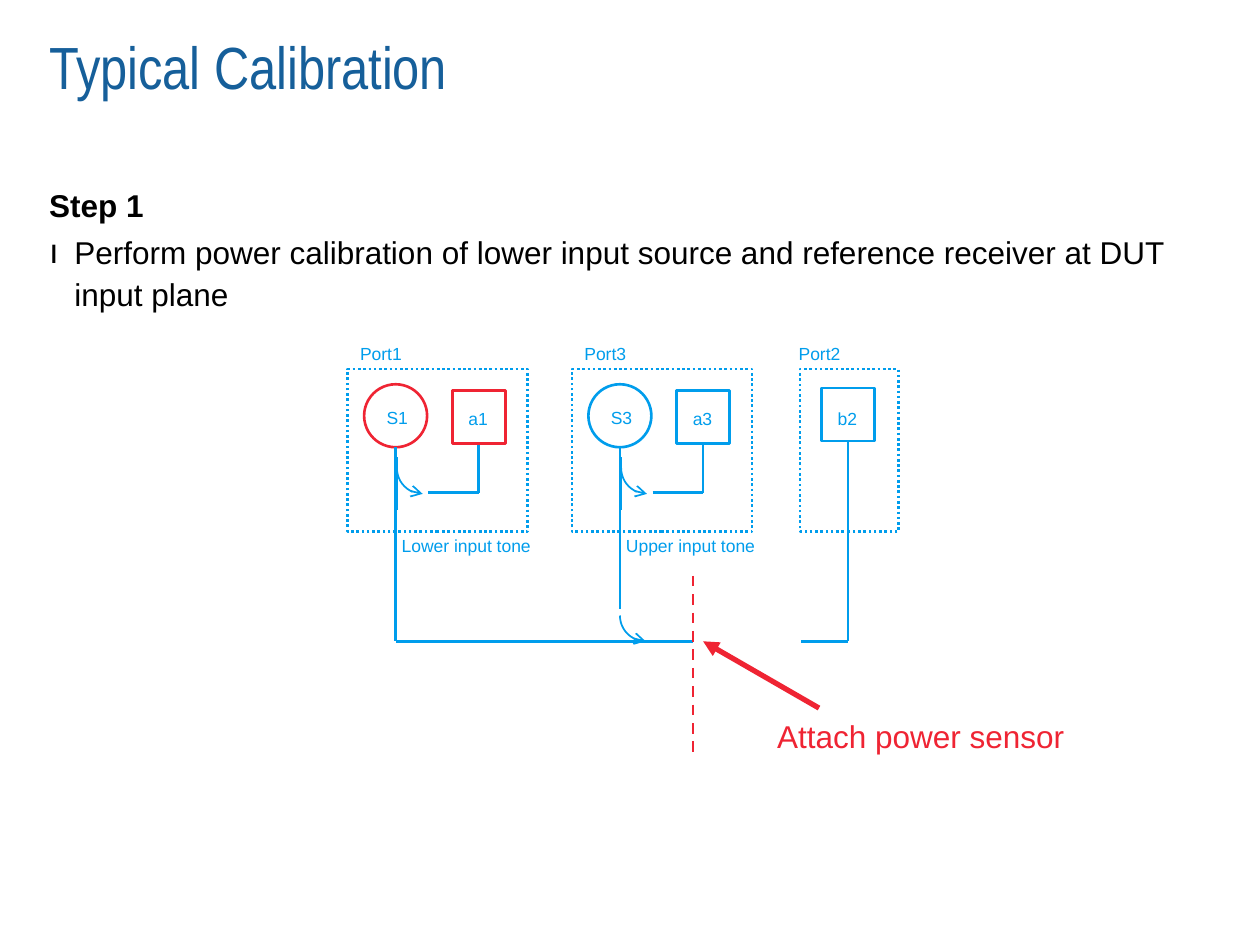
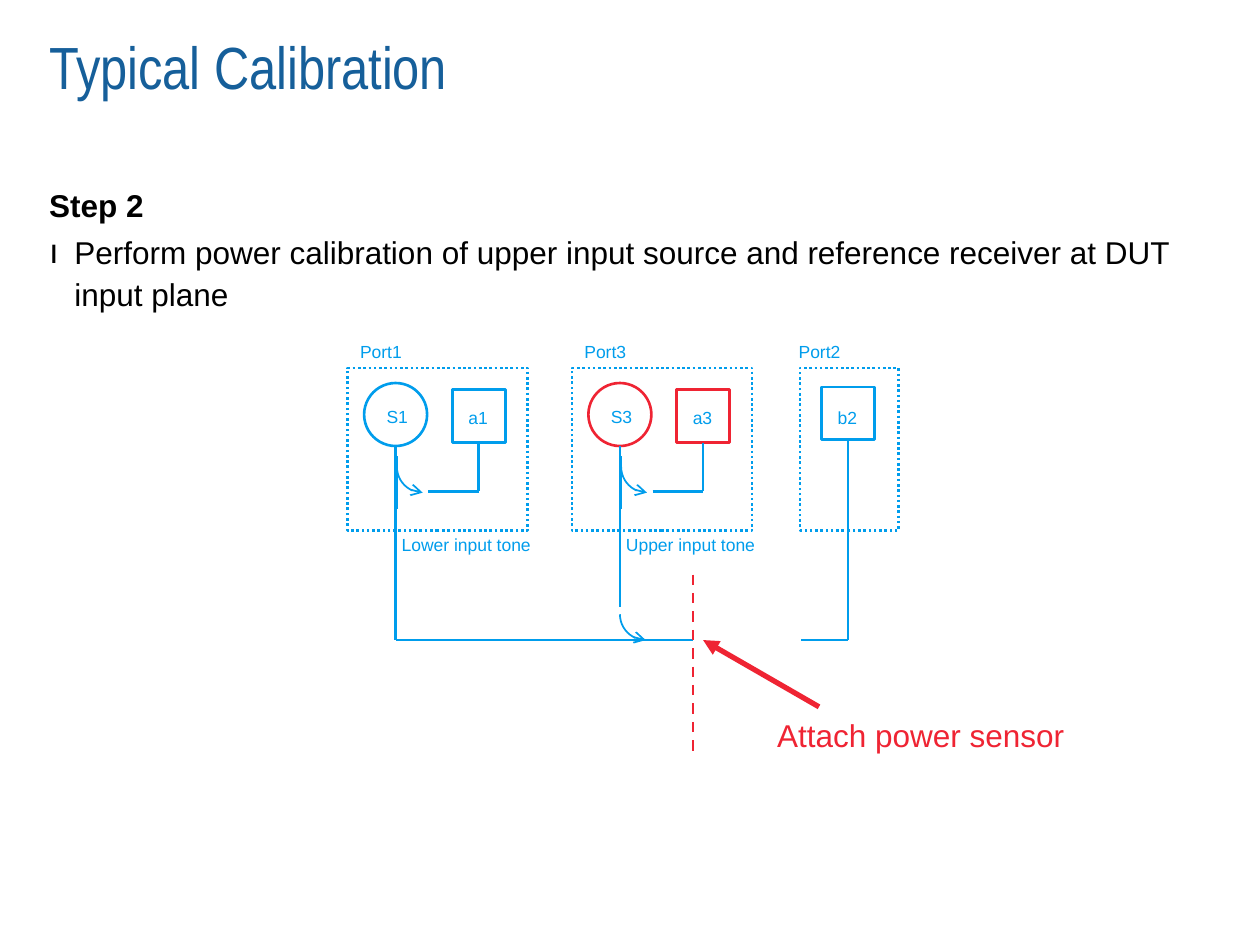
from dataclasses import dataclass

from lxml.etree import SubElement
from pptx import Presentation
from pptx.dml.color import RGBColor
from pptx.enum.dml import MSO_LINE
from pptx.enum.shapes import MSO_CONNECTOR, MSO_SHAPE
from pptx.enum.text import MSO_ANCHOR, MSO_AUTO_SIZE, PP_ALIGN
from pptx.oxml.ns import qn
from pptx.util import Inches, Pt


@dataclass(frozen=True)
class Theme:
    title_color: RGBColor = RGBColor.from_string("165F9A")
    text_color: RGBColor = RGBColor.from_string("000000")
    blue: RGBColor = RGBColor.from_string("009DEC")
    red: RGBColor = RGBColor.from_string("EF2433")
    title_font: str = "Arial Narrow"
    text_font: str = "Arial"
    title_size: int = 34
    text_size: int = 18
    label_size: int = 10
    line_spacing: float = 1.12
    thin: float = 1
    medium: float = 1.5
    thick: float = 3


theme = Theme()


def write_text(box, text, font, size, color, spacing=1.0, after=0):
    frame = box.text_frame
    frame.word_wrap = True
    frame.auto_size = MSO_AUTO_SIZE.NONE
    frame.vertical_anchor = MSO_ANCHOR.TOP
    frame.text = text
    para = frame.paragraphs[0]
    para.alignment = PP_ALIGN.LEFT
    para.line_spacing = spacing
    para.space_before = Pt(0)
    para.space_after = Pt(after)
    para.font.name = font
    para.font.size = Pt(size)
    para.font.color.rgb = color
    return para


def draw_line(shape, color, width, dash=None, head=None, tail=None):
    shape.line.color.rgb = color
    shape.line.width = Pt(width)
    if dash:
        shape.line.dash_style = dash
    outline = shape.element.spPr.find(qn("a:ln"))
    for tag, kind in (("a:headEnd", head), ("a:tailEnd", tail)):
        if kind:
            SubElement(outline, qn(tag), type=kind)


deck = Presentation()
deck.slide_width = Inches(10)
deck.slide_height = Inches(7.5)

steps = [
    ("Step 1", "lower", "1", 0),
    ("Step 2", "upper", "3", 0.01),
]
source_ports = [("1", 2.76, "Lower input tone", 5.09), ("3", 4.54, "Upper input tone", 4.83)]

for step_name, tone, active_port, lift in steps:
    page = deck.slides.add_slide(deck.slide_layouts[3])
    title, body, step = page.placeholders
    for box, top, height in ((title, 0.24, 1.18), (body, 1.81, 4.8), (step, 1.5, 0.28)):
        box.left, box.top, box.width, box.height = map(Inches, (0.39, top, 9.06, height))
        frame = box.text_frame
        frame.margin_left = frame.margin_top = frame.margin_right = frame.margin_bottom = 0

    write_text(title, "Typical Calibration", theme.title_font, theme.title_size, theme.title_color)

    instruction = f"Perform power calibration of {tone} input source and reference receiver at DUT input plane"
    para = write_text(
        body, instruction, theme.text_font, theme.text_size, theme.text_color, theme.line_spacing
    )
    properties = para._p.get_or_add_pPr()
    properties.set("marL", str(Inches(0.2)))
    properties.set("indent", str(Inches(-0.2)))
    SubElement(properties, qn("a:buSzPct"), val="110000")
    SubElement(properties, qn("a:buFont"), typeface=theme.text_font)
    SubElement(properties, qn("a:buChar"), char="ı")

    para = write_text(step, step_name, theme.text_font, theme.text_size, theme.text_color)
    para.font.bold = True
    step.text_frame.vertical_anchor = MSO_ANCHOR.BOTTOM
    properties = para._p.get_or_add_pPr()
    properties.set("marL", "0")
    properties.set("indent", "0")
    SubElement(properties, qn("a:buNone"))

    outlines = [
        (MSO_SHAPE.RECTANGLE, 6.52, 3.08, 0.42, 0.42, theme.blue, None),
        (MSO_SHAPE.RECTANGLE, 6.35, 2.93, 0.78, 1.29, theme.blue, MSO_LINE.ROUND_DOT),
    ]
    labels = [
        ("b2", 6.55, 3.17, 0.4, theme.label_size, theme.blue),
        ("Port2", 6.24, 2.65, 0.61, theme.label_size, theme.blue),
        ("Attach power sensor", 6.07, 5.64, 2.6, theme.text_size, theme.red),
    ]
    wires = [
        (6.73, 3.51, 6.73, 5.09, theme.blue, theme.medium, None, None),
        (3.14, 5.09, 5.5, 5.09, theme.blue, theme.medium, None, None),
        (6.36, 5.09, 6.73, 5.09, theme.blue, theme.medium, None, None),
        (4.79, 5.09, 5.21, 5.09, theme.blue, theme.thin, None, None),
        (5.5, 4.57, 5.5, 6.01, theme.red, theme.medium, MSO_LINE.DASH, None),
        (6.5, 5.62, 5.58, 5.09, theme.red, theme.thick, None, "triangle"),
    ]
    couplers = [(4.92, 4.68)]

    for port, left, tone_label, source_end in source_ports:
        color = theme.red if port == active_port else theme.blue
        outlines += [
            (MSO_SHAPE.RECTANGLE, left, 2.93, 1.43, 1.29, theme.blue, MSO_LINE.ROUND_DOT),
            (MSO_SHAPE.OVAL, left + 0.13, 3.05, 0.5, 0.5, color, None),
            (MSO_SHAPE.RECTANGLE, left + 0.83, 3.1, 0.42, 0.42, color, None),
        ]
        labels += [
            (f"Port{port}", left, 2.65, 0.63, theme.label_size, theme.blue),
            (f"S{port}", left + 0.21, 3.16, 0.4, theme.label_size, theme.blue),
            (f"a{port}", left + 0.86, 3.17, 0.4, theme.label_size, theme.blue),
            (tone_label, left + 0.33, 4.18, 1.34, theme.label_size, theme.blue),
        ]
        wires += [
            (left + 0.38, 3.55, left + 0.38, source_end, theme.blue, theme.medium, None, None),
            (left + 0.39, 3.63, left + 0.39, 4.05, theme.blue, theme.thin, None, None),
            (left + 0.64, 3.91, left + 1.04, 3.91, theme.blue, theme.medium, None, None),
            (left + 1.04, 3.53, left + 1.04, 3.91, theme.blue, theme.medium, None, None),
        ]
        couplers.append((left + 0.39, 3.51))

    for kind, left, top, width, height, color, dash in outlines:
        shape = page.shapes.add_shape(
            kind, Inches(left), Inches(top - lift), Inches(width), Inches(height)
        )
        shape.fill.background()
        shape.shadow.inherit = False
        draw_line(shape, color, theme.medium, dash)

    for left, top in couplers:
        arc = page.shapes.add_shape(
            MSO_SHAPE.ARC, Inches(left), Inches(top - lift), Inches(0.41), Inches(0.41)
        )
        arc.adjustments[0] = 54
        arc.adjustments[1] = 108
        arc.fill.background()
        arc.shadow.inherit = False
        draw_line(arc, theme.blue, theme.thin, head="arrow")

    for start_x, start_y, end_x, end_y, color, width, dash, tail in wires:
        wire = page.shapes.add_connector(
            MSO_CONNECTOR.STRAIGHT,
            Inches(start_x), Inches(start_y - lift), Inches(end_x), Inches(end_y - lift),
        )
        draw_line(wire, color, width, dash, tail=tail)
        SubElement(wire.element.spPr, qn("a:effectLst"))

    for text, left, top, width, size, color in labels:
        box = page.shapes.add_textbox(
            Inches(left), Inches(top - lift), Inches(width), Inches(0.4 if size > 10 else 0.28)
        )
        spacing, after = (1.0, 0) if size > theme.label_size else (theme.line_spacing, 6)
        write_text(box, text, theme.text_font, size, color, spacing, after)

deck.save("out.pptx")
